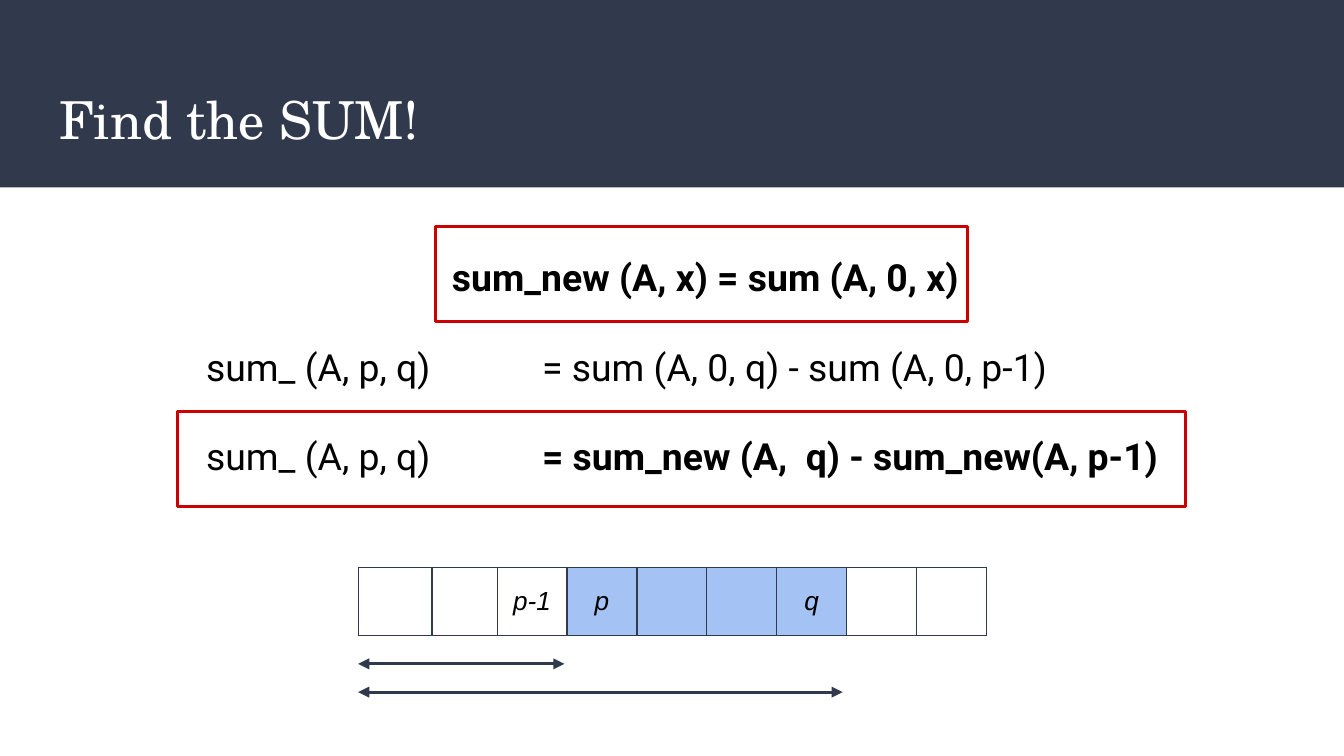
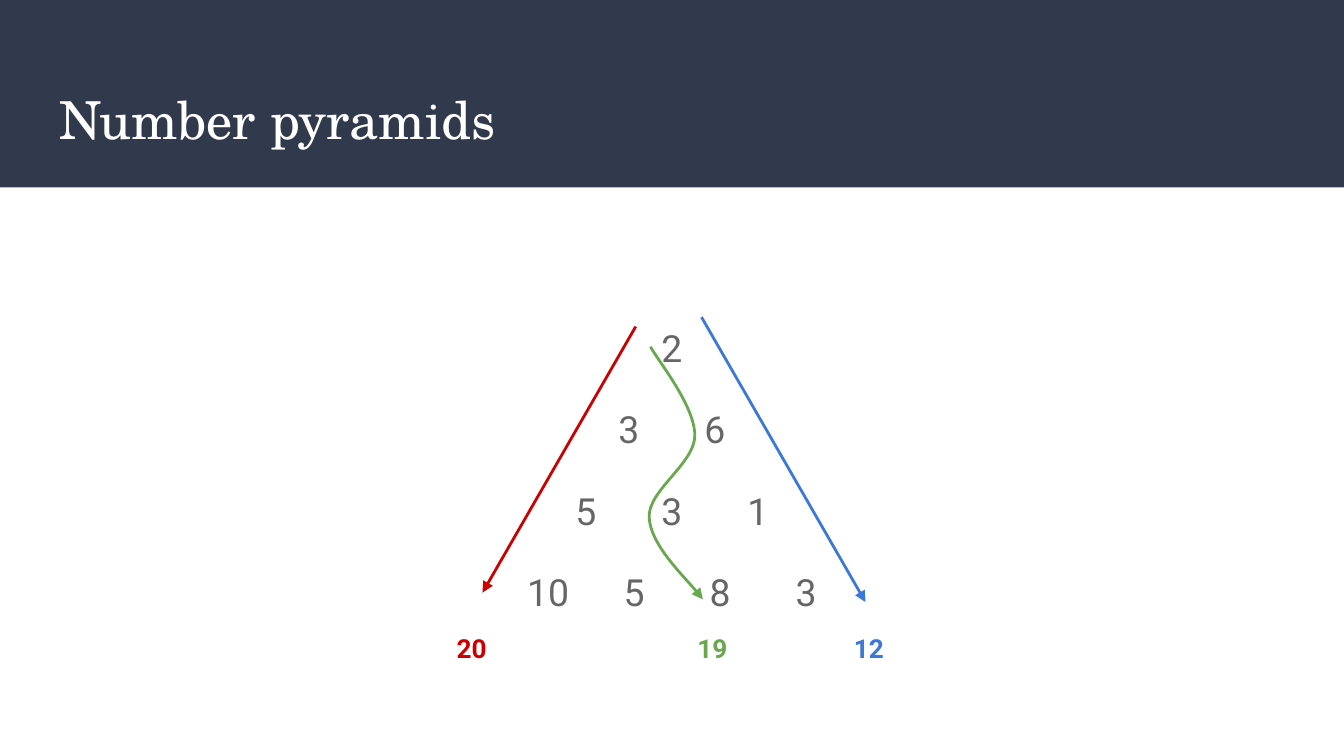
from lxml import etree
from pptx import Presentation
from pptx.dml.color import RGBColor
from pptx.enum.shapes import MSO_CONNECTOR, MSO_SHAPE
from pptx.enum.text import MSO_ANCHOR, MSO_AUTO_SIZE, PP_ALIGN
from pptx.oxml.ns import qn
from pptx.util import Emu, Inches, Pt

RECTANGLE = MSO_SHAPE.RECTANGLE
STRAIGHT = MSO_CONNECTOR.STRAIGHT
TOP, MIDDLE = MSO_ANCHOR.TOP, MSO_ANCHOR.MIDDLE
LEFT, CENTER = PP_ALIGN.LEFT, PP_ALIGN.CENTER
NO_FIT = MSO_AUTO_SIZE.NONE

NAVY = RGBColor(0x31, 0x39, 0x4D)
WHITE = RGBColor(0xFF, 0xFF, 0xFF)
BLACK = RGBColor(0x00, 0x00, 0x00)
GREY = RGBColor(0x66, 0x66, 0x66)
RED = RGBColor(0xCC, 0x00, 0x00)
GREEN = RGBColor(0x6A, 0xA8, 0x4F)
BLUE = RGBColor(0x3C, 0x78, 0xD8)
PALE_BLUE = RGBColor(0xA4, 0xC2, 0xF4)

WIDTH, HEIGHT = Inches(10), Inches(5.625)
COLUMNS = 100
LINE_WIDTH = Pt(1.5)
BORDER_WIDTH = Pt(0.75)

TITLE_FONT = {"name": "TeX Gyre Schola", "size": Pt(28), "color": WHITE}
FORMULA_FONT = {"name": "Roboto", "size": Pt(20), "color": BLACK, "bold": False}
KEY_FONT = {**FORMULA_FONT, "bold": True}
NUMBER_FONT = {**FORMULA_FONT, "color": GREY}
SUM_FONT = {"name": "Roboto", "size": Pt(14), "bold": True}
CELL_FONT = {"name": "Arial", "size": Pt(14), "color": BLACK, "italic": True}

FORMULA_INDENT = 5
FORMULA_TABS = [FORMULA_INDENT, 30]

PYRAMID = [["2"], ["3", "6"], ["5", "3", "1"], ["10", "5", "8", "3"]]
PYRAMID_CENTER = 46
NUMBER_STEP = 6.4
DIGIT_SHIFT = 0.4


def grid(units):
    return Emu(round(units * WIDTH / COLUMNS))


def grids(*units):
    return [grid(unit) for unit in units]


def set_format(target, values):
    for name, value in values.items():
        if name == "color":
            target.color.rgb = value
        else:
            setattr(target, name, value)


def format_frame(frame, anchor=TOP, wrap=True):
    margins = dict.fromkeys(
        ["margin_left", "margin_top", "margin_right", "margin_bottom"], grid(1))
    set_format(frame, {**margins, "vertical_anchor": anchor,
                       "word_wrap": wrap, "auto_size": NO_FIT})


def add_span(para, text, font):
    span = para.add_run()
    span.text = text
    set_format(span.font, font)


def add_tabs(para, positions, align):
    tabs = etree.SubElement(para._p.get_or_add_pPr(), qn("a:tabLst"))
    for position in positions:
        etree.SubElement(tabs, qn("a:tab"), pos=str(grid(position)), algn=align)


def add_text_box(page, place, anchor=TOP, wrap=True):
    frame = page.shapes.add_textbox(*grids(*place)).text_frame
    format_frame(frame, anchor, wrap)
    return frame


def next_para(frame, first, space):
    if first:
        return frame.paragraphs[0]
    para = frame.add_paragraph()
    para.space_before = Pt(space)
    return para


def add_rectangle(page, place, fill=None, line=None):
    box = page.shapes.add_shape(RECTANGLE, *grids(*place))
    box.shadow.inherit = False
    if fill is None:
        box.fill.background()
    else:
        box.fill.solid()
        box.fill.fore_color.rgb = fill
    if line is None:
        box.line.fill.background()
    else:
        set_format(box.line, {"color": line, "width": LINE_WIDTH})
    return box


def format_arrow(shape, color, ends):
    set_format(shape.line, {"color": color, "width": LINE_WIDTH})
    line = shape.element.spPr.get_or_add_ln()
    for end in ends:
        etree.SubElement(line, qn(f"a:{end}"), type="triangle")


def add_arrow(page, start, finish, color, ends=("tailEnd",)):
    arrow = page.shapes.add_connector(STRAIGHT, *grids(*start, *finish))
    format_arrow(arrow, color, ends)
    etree.SubElement(arrow.element.spPr, qn("a:effectLst"))


def add_curved_arrow(page, start, controls, color):
    builder = page.shapes.build_freeform(*grids(*start))
    builder.add_line_segments([grids(*point) for point in controls], close=False)
    curve = builder.convert_to_shape()
    curve.shadow.inherit = False
    curve.fill.background()
    outline = curve.element.find(f".//{qn('a:path')}")
    segments = outline.findall(qn("a:lnTo"))
    for index, segment in enumerate(segments):
        if index % 3 == 0:
            bend = etree.SubElement(outline, qn("a:cubicBezTo"))
        bend.append(segment[0])
        outline.remove(segment)
    format_arrow(curve, color, ["tailEnd"])


def add_borders(cell):
    properties = cell._tc.get_or_add_tcPr()
    for side in ["lnL", "lnR", "lnT", "lnB"]:
        border = etree.SubElement(properties, qn(f"a:{side}"), w=str(BORDER_WIDTH))
        fill = etree.SubElement(border, qn("a:solidFill"))
        etree.SubElement(fill, qn("a:srgbClr"), val=str(NAVY))


def add_array(page, left, top, widths, height, labels, marked):
    table = page.shapes.add_table(
        1, len(widths), *grids(left, top, sum(widths), height)).table
    set_format(table, {"first_row": False, "horz_banding": False})
    for index, width in enumerate(widths):
        table.columns[index].width = grid(width)
        cell = table.cell(0, index)
        cell.vertical_anchor = MIDDLE
        add_borders(cell)
        if index in marked:
            cell.fill.solid()
            cell.fill.fore_color.rgb = PALE_BLUE
        else:
            cell.fill.background()
        if index in labels:
            para = cell.text_frame.paragraphs[0]
            para.alignment = CENTER
            add_span(para, labels[index], CELL_FONT)


def add_page(deck, title):
    page = deck.slides.add_slide(deck.slide_layouts[5])
    band = add_rectangle(page, (0, 0, COLUMNS, 13.95), fill=NAVY)
    page.shapes.element.insert(2, band.element)
    box = page.shapes.title
    names = ["left", "top", "width", "height"]
    set_format(box, dict(zip(names, grids(3.4, 5.5, 93.2, 6.8))))
    format_frame(box.text_frame)
    para = box.text_frame.paragraphs[0]
    para.alignment = LEFT
    add_span(para, title, TITLE_FONT)
    return page


def add_formulas(page, place, formulas):
    frame = add_text_box(page, place, MIDDLE)
    for index, (align, spans) in enumerate(formulas):
        para = next_para(frame, index == 0, 24)
        para.alignment = align
        if align == CENTER:
            para._p.get_or_add_pPr().set("indent", str(grid(FORMULA_INDENT)))
        else:
            add_tabs(para, FORMULA_TABS, "l")
        for text, font in spans:
            add_span(para, text, font)


def add_pyramid(page, place, rows):
    frame = add_text_box(page, place)
    for index, values in enumerate(rows):
        para = next_para(frame, index == 0, 16)
        set_format(para, {"alignment": LEFT, "line_spacing": 1.15})
        start = PYRAMID_CENTER - NUMBER_STEP * (len(values) - 1) / 2
        start += DIGIT_SHIFT * (len(values[0]) - 1)
        add_tabs(para, [start + NUMBER_STEP * n for n in range(len(values))], "ctr")
        add_span(para, "".join(f"\t{value}" for value in values), NUMBER_FONT)


def build_sum_page(deck):
    page = add_page(deck, "Find the SUM!")
    add_formulas(page, (9.35, 16.8, 81.3, 20.9), [
        (CENTER, [("sum_new (A, x) = sum (A, 0, x)", KEY_FONT)]),
        (LEFT, [("\tsum_ (A, p, q)\t= sum (A, 0, q) - sum (A, 0, p-1)", FORMULA_FONT)]),
        (LEFT, [("\tsum_ (A, p, q)", FORMULA_FONT),
                ("\t= sum_new (A,  q) - sum_new(A, p-1)", KEY_FONT)]),
    ])
    left = 26.65
    add_array(page, left, 42.2, [5.5, 4.85] + [5.2] * 7, 5.1,
              {2: "p-1", 3: "p", 6: "q"}, range(3, 7))
    for place in [(13.2, 30.6, 75, 7.1), (32.4, 16.85, 39.6, 7.1)]:
        add_rectangle(page, place, line=RED)
    for right, row in [(42, 49.4), (62.7, 51.5)]:
        add_arrow(page, (left, row), (right, row), NAVY, ("headEnd", "tailEnd"))


def build_pyramid_page(deck):
    page = add_page(deck, "Number pyramids")
    add_pyramid(page, (3, 22.7, 93.9, 25.6), PYRAMID)
    add_arrow(page, (47.3, 24.3), (35.9, 44.1), RED)
    add_arrow(page, (52.2, 23.6), (64.4, 44.8), BLUE)
    add_curved_arrow(page, (48.4, 25.8), [
        (49, 26.9), (51.7, 30.2), (51.7, 32.4),
        (51.7, 34.5), (48.2, 36.5), (48.3, 38.5),
        (48.4, 40.5), (51.6, 43.6), (52.3, 44.6),
    ], GREEN)
    for left, text, color in [(33, "20", RED), (62.55, "12", BLUE), (50.9, "19", GREEN)]:
        frame = add_text_box(page, (left, 46.05, 4.3, 4.4), wrap=False)
        add_span(frame.paragraphs[0], text, {**SUM_FONT, "color": color})


def main():
    deck = Presentation()
    set_format(deck, {"slide_width": WIDTH, "slide_height": HEIGHT})
    build_sum_page(deck)
    build_pyramid_page(deck)
    deck.save("out.pptx")


if __name__ == "__main__":
    main()
